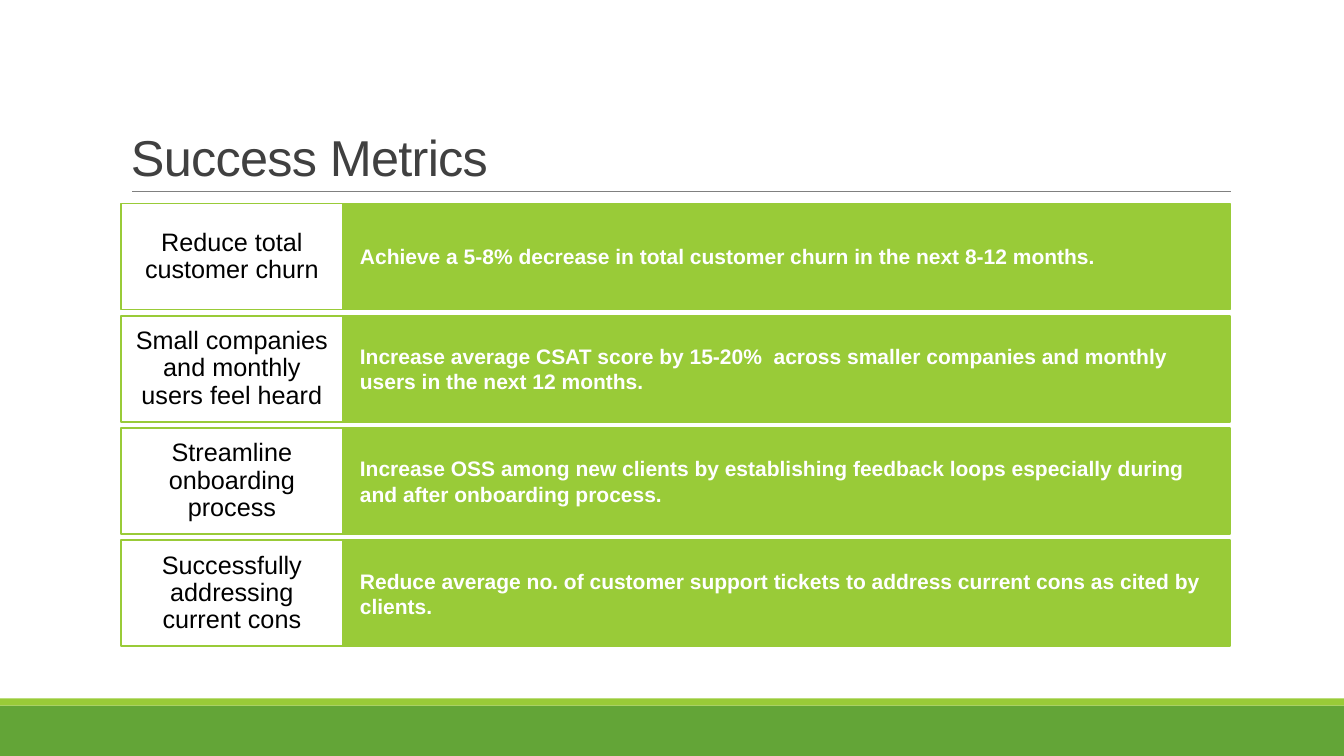
from lxml import etree
from pptx import Presentation
from pptx.dml.color import RGBColor
from pptx.enum.shapes import MSO_CONNECTOR, MSO_SHAPE
from pptx.enum.text import MSO_ANCHOR, PP_ALIGN
from pptx.oxml.ns import qn
from pptx.util import Inches, Pt

RECTANGLE = MSO_SHAPE.RECTANGLE
STRAIGHT = MSO_CONNECTOR.STRAIGHT
MIDDLE, BOTTOM = MSO_ANCHOR.MIDDLE, MSO_ANCHOR.BOTTOM
LEFT, CENTER = PP_ALIGN.LEFT, PP_ALIGN.CENTER

TITLE = "Success Metrics"
METRICS = [
    ("Reduce total customer churn",
     "Achieve a 5-8% decrease in total customer churn in the next 8-12 months."),
    ("Small companies and monthly users feel heard",
     "Increase average CSAT score by 15-20%  across smaller companies and monthly "
     "users in the next 12 months."),
    ("Streamline onboarding process",
     "Increase OSS among new clients by establishing feedback loops especially during "
     "and after onboarding process."),
    ("Successfully addressing current cons",
     "Reduce average no. of customer support tickets to address current cons as cited "
     "by clients."),
]

COLORS = {"lime": "99CB38", "green": "63A537", "rule": "808080",
          "title": "404040", "white": "FFFFFF", "black": "000000"}

TITLE_STYLE = {"color": "title", "font": {"size": Pt(36)}, "insets": (0.1, 0.05),
               "anchor": BOTTOM, "align": LEFT, "spacing": 0.85}
GOAL_STYLE = {"color": "black", "font": {"size": Pt(18)}, "insets": (0.12, 0.1),
              "anchor": MIDDLE, "align": CENTER, "spacing": 0.9}
TARGET_STYLE = {"color": "white", "font": {"size": Pt(15), "bold": True},
                "insets": (0.17, 0.27), "anchor": MIDDLE, "align": LEFT, "spacing": 1.0}

SLIDE_W, SLIDE_H = 13.33, 7.5
ROW_LEFT, FIRST_TOP, LAST_TOP = 1.2, 2.02, 5.36
GOAL_W, TARGET_W, ROW_H = 2.2, 8.8, 1.05


def rgb(name):
    return RGBColor.from_string(COLORS[name])


def add_rectangle(slide, box, fill, line=None):
    rectangle = slide.shapes.add_shape(RECTANGLE, *map(Inches, box))
    rectangle.shadow.inherit = False
    rectangle.fill.solid()
    rectangle.fill.fore_color.rgb = rgb(fill)
    if line:
        rectangle.line.color.rgb = rgb(line)
        rectangle.line.width = Pt(1.25)
    else:
        rectangle.line.fill.background()
    return rectangle


def write(shape, text, style):
    frame = shape.text_frame
    frame.word_wrap = True
    frame.vertical_anchor = style["anchor"]
    side, end = map(Inches, style["insets"])
    frame.margin_left = frame.margin_right = side
    frame.margin_top = frame.margin_bottom = end
    paragraph = frame.paragraphs[0]
    paragraph.alignment = style["align"]
    paragraph.line_spacing = style["spacing"]
    run = paragraph.add_run()
    run.text = text
    run.font.name = "Arial"
    run.font.color.rgb = rgb(style["color"])
    for attribute, value in style["font"].items():
        setattr(run.font, attribute, value)
    return run


def add_title(slide):
    title = slide.shapes.add_textbox(*map(Inches, (ROW_LEFT, 0.31, 11, 1.59)))
    run = write(title, TITLE, TITLE_STYLE)
    run.font._element.set("spc", "-50")


def add_title_rule(slide):
    rule = slide.shapes.add_connector(STRAIGHT, *map(Inches, (1.31, 1.9, 12.21, 1.9)))
    rule.line.color.rgb = rgb("rule")
    rule.line.width = Pt(0.5)
    etree.SubElement(rule._element.spPr, qn("a:effectLst"))


def add_metrics(slide):
    pitch = (LAST_TOP - FIRST_TOP) / (len(METRICS) - 1)
    for index, (goal, target) in enumerate(METRICS):
        top = FIRST_TOP + index * pitch
        target_box = (ROW_LEFT + GOAL_W, top, TARGET_W, ROW_H)
        goal_box = (ROW_LEFT, top, GOAL_W, ROW_H)
        write(add_rectangle(slide, target_box, "lime", "lime"), target, TARGET_STYLE)
        write(add_rectangle(slide, goal_box, "white", "lime"), goal, GOAL_STYLE)


def main():
    deck = Presentation()
    deck.slide_width, deck.slide_height = Inches(SLIDE_W), Inches(SLIDE_H)
    slide = deck.slides.add_slide(deck.slide_layouts[6])
    add_rectangle(slide, (0, 7, SLIDE_W, 0.5), "green")
    add_rectangle(slide, (0, 6.93, SLIDE_W, 0.07), "lime")
    add_title_rule(slide)
    add_title(slide)
    add_metrics(slide)
    deck.save("out.pptx")


if __name__ == "__main__":
    main()
